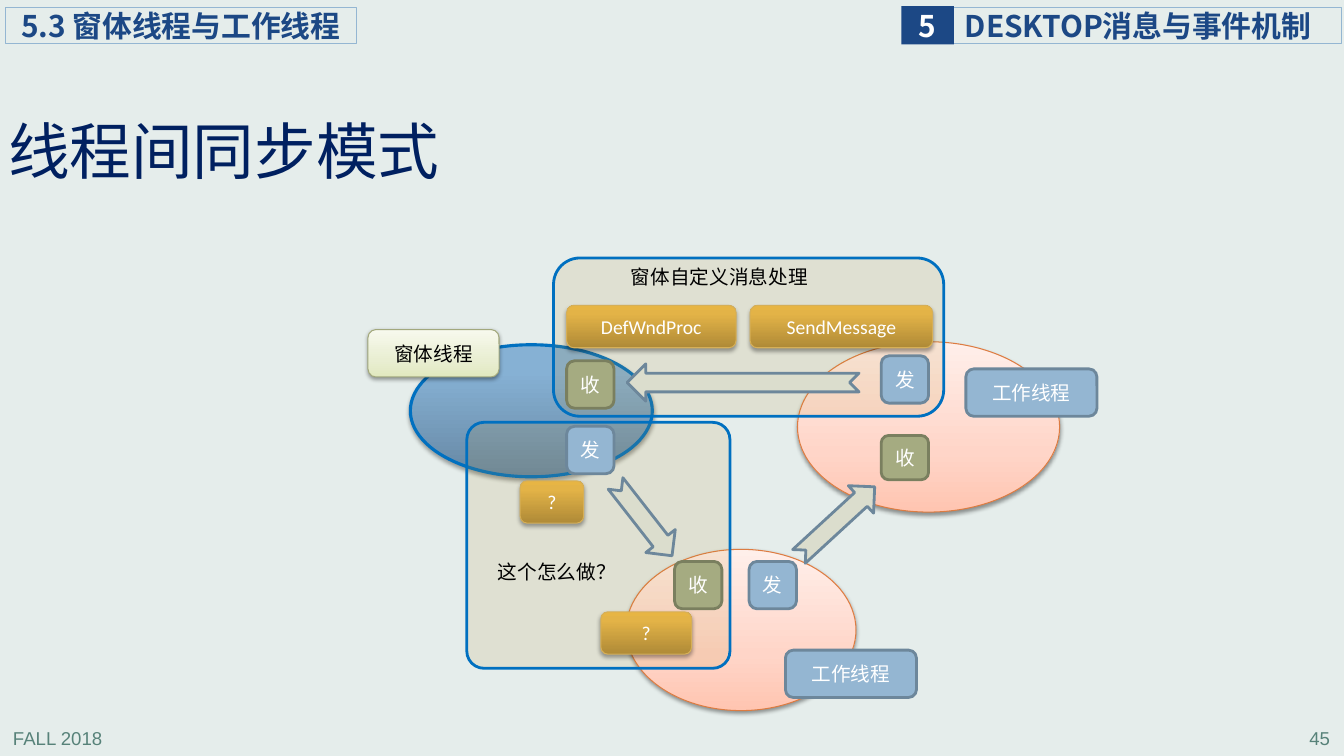
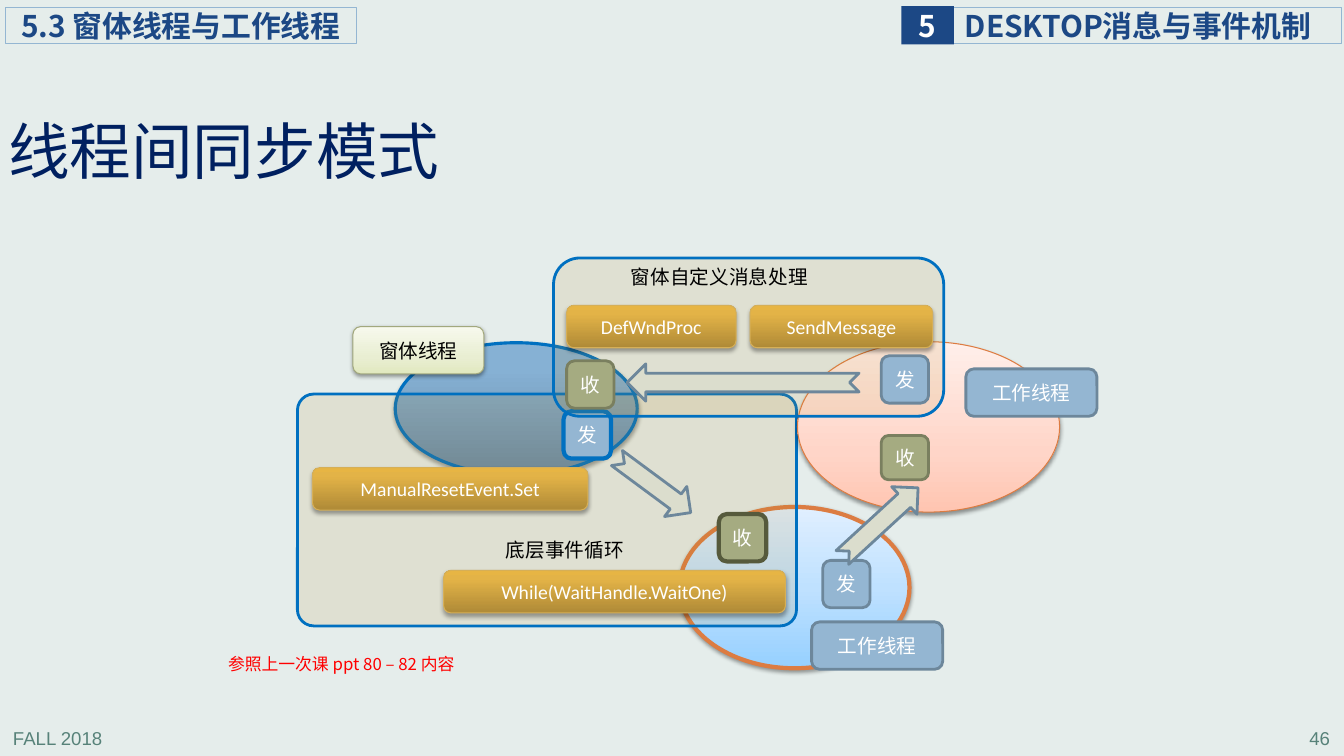
from dataclasses import dataclass, replace
from typing import Optional

from lxml import etree
from pptx import Presentation
from pptx.dml.color import RGBColor
from pptx.enum.shapes import MSO_SHAPE
from pptx.enum.text import MSO_ANCHOR, PP_ALIGN
from pptx.oxml.ns import qn
from pptx.util import Inches, Pt

RECT = MSO_SHAPE.RECTANGLE
ROUNDED = MSO_SHAPE.ROUNDED_RECTANGLE
OVAL = MSO_SHAPE.OVAL
NOTCHED_ARROW = MSO_SHAPE.NOTCHED_RIGHT_ARROW
LEFT, CENTER, RIGHT = PP_ALIGN.LEFT, PP_ALIGN.CENTER, PP_ALIGN.RIGHT
TOP, MIDDLE = MSO_ANCHOR.TOP, MSO_ANCHOR.MIDDLE


@dataclass(frozen=True)
class Theme:
    background: str = "E5EDEB"
    title: str = "002060"
    header: str = "1C4885"
    footer: str = "578279"
    sky: str = "94B6D2"
    steel: str = "6D879B"
    blue: str = "0070C0"
    orange: str = "DC7C42"
    olive: str = "A5AB81"
    olive_edge: str = "7A7F5F"
    olive_dark: str = "565A3C"
    arrow: str = "DBDDCD"
    frame: str = "BA8F2D"
    gold_edge: str = "D6AF57"
    cream_edge: str = "A2A87D"
    white: str = "FFFFFF"
    black: str = "000000"
    red: str = "FF0000"
    gold_blend: tuple = ((0, "AF8A37"), (80, "E3B347"), (100, "E7B544"))
    blue_blend: tuple = ((0, "6788A4"), (80, "86B1D4"), (100, "86B2D7"))
    ice_blend: tuple = ((0, "96D0FF"), (50, "BFE1FF"), (100, "E0EFFF"))
    peach_blend: tuple = ((0, "FFC5B1"), (35, "FFD5C8"), (100, "FFEFEA"))
    cream_blend: tuple = ((0, "E1E8BF"), (35, "E9EED2"), (100, "F7F9ED"))
    soft_shadow: tuple = (38, 1.6)
    deep_shadow: tuple = (35, 1.8)
    cjk: str = "Noto Sans CJK SC"
    code: str = "Calibri"
    plain: str = "Arial"
    title_size: float = 44
    header_size: float = 21.3
    body_size: float = 14
    footer_size: float = 13.3
    note_size: float = 12


T = Theme()


@dataclass(frozen=True)
class Style:
    geometry: Optional[int] = None
    fill: object = None
    line: Optional[str] = None
    width: float = 2
    opacity: int = 100
    shadow: Optional[tuple] = None
    corner: Optional[float] = None
    color: str = T.white
    font: str = T.cjk
    size: float = T.body_size
    bold: bool = False
    align: int = CENTER
    anchor: int = MIDDLE
    insets: tuple = (0.1, 0.05, 0.1, 0.05)


SEND = Style(ROUNDED, T.sky, T.steel)
RECEIVE = Style(ROUNDED, T.olive, T.olive_edge)
SEND_MARKED = replace(SEND, line=T.blue, width=3)
RECEIVE_MARKED = replace(RECEIVE, line=T.olive_dark, width=3)
WORKER_LABEL = SEND
WINDOW_LABEL = Style(ROUNDED, T.cream_blend, T.cream_edge, 0.75,
                     shadow=T.soft_shadow, color=T.black)
CALL = Style(ROUNDED, T.gold_blend, T.gold_edge, 0.75,
             shadow=T.deep_shadow, font=T.code)
WORKER = Style(OVAL, T.peach_blend, T.orange, 0.75, shadow=T.soft_shadow)
WORKER_MARKED = replace(WORKER, fill=T.ice_blend, width=3)
WINDOW = Style(OVAL, T.blue_blend, T.blue, 2.25, shadow=T.deep_shadow)
FRAME = Style(ROUNDED, T.frame, T.blue, opacity=13)
FLAT_FRAME = replace(FRAME, corner=0.07)
ARROW = Style(NOTCHED_ARROW, T.arrow, T.steel)
CAPTION = Style(color=T.black, align=LEFT, anchor=TOP)
NOTE = replace(CAPTION, color=T.red, size=T.note_size, align=CENTER)
FOOTER = Style(color=T.footer, font=T.plain, size=T.footer_size, align=LEFT, anchor=TOP)
PAGE = replace(FOOTER, align=RIGHT)
CHAPTER = Style(RECT, None, T.sky, 0.75, color=T.header, size=T.header_size,
                bold=True, align=LEFT, insets=(0.12, 0, 0, 0))
SECTION = replace(CHAPTER, insets=(0.16, 0, 0, 0))
CHAPTER_NUMBER = replace(CHAPTER, fill=T.header, line=None, color=T.white,
                         align=CENTER, insets=(0, 0, 0, 0))
TITLE = Style(color=T.title, size=T.title_size, align=LEFT, insets=(0.08, 0.04, 0.08, 0.04))

TITLE_TEXT = "线程间同步模式"
TITLE_BOX = (0, 1.16, 4.84, 0.74)
FIRST_PAGE = 45

CHROME = [
    (FOOTER, (0.03, 7.16, 2.78, 0.31), "FALL 2018"),
    (CHAPTER, (9.45, 0.07, 3.86, 0.36), "DESKTOP消息与事件机制"),
    (CHAPTER_NUMBER, (8.94, 0.06, 0.52, 0.38), "5"),
    (SECTION, (0.05, 0.07, 3.49, 0.36), "5.3 窗体线程与工作线程"),
]
PAGE_BOX = (10.51, 7.16, 2.78, 0.31)

MESSAGE_FLOW = [
    (WORKER, (7.91, 3.39, 2.6, 1.69)),
    (FRAME, (5.49, 2.56, 3.87, 1.57)),
    (ARROW, (6.22, 3.61, 2.3, 0.37), "", 180),
    (CALL, (7.44, 3.03, 1.81, 0.42), "SendMessage"),
    (CALL, (5.62, 3.03, 1.68, 0.42), "DefWndProc"),
    (WORKER_LABEL, (9.58, 3.66, 1.3, 0.47), "工作线程"),
    (SEND, (8.74, 3.53, 0.47, 0.47), "发"),
    (RECEIVE, (5.62, 3.58, 0.47, 0.47), "收"),
    (RECEIVE, (8.74, 4.32, 0.47, 0.44), "收"),
    (CAPTION, (6.16, 2.58, 2.47, 0.4), "窗体自定义消息处理"),
]

SLIDES = [
    {
        "behind": [
            (WORKER, (6.21, 5.45, 2.28, 1.6)),
            (WINDOW, (4.07, 3.42, 2.4, 1.31)),
            (FLAT_FRAME, (4.63, 4.19, 2.61, 2.44)),
        ],
        "front": [
            (WORKER_LABEL, (7.79, 6.45, 1.3, 0.47), "工作线程"),
            (WINDOW_LABEL, (3.65, 3.27, 1.3, 0.47), "窗体线程"),
            (SEND, (7.43, 5.57, 0.47, 0.47), "发"),
            (ARROW, (7.79, 4.99, 1.02, 0.37), "", 317.4),
            (SEND, (5.62, 4.23, 0.47, 0.47), "发"),
            (ARROW, (5.93, 4.97, 0.91, 0.37), "", 52),
            (RECEIVE, (6.69, 5.57, 0.47, 0.47), "收"),
            (CALL, (5.16, 4.77, 0.63, 0.42), "?"),
            (CALL, (5.96, 6.07, 0.9, 0.42), "?"),
            (CAPTION, (4.84, 5.51, 1.73, 0.4), "这个怎么做？"),
        ],
    },
    {
        "behind": [
            (WORKER_MARKED, (6.74, 5.03, 2.28, 1.6)),
            (WINDOW, (3.92, 3.4, 2.4, 1.31)),
            (FLAT_FRAME, (2.95, 3.91, 4.95, 2.3)),
            (WORKER_LABEL, (8.05, 6.17, 1.3, 0.47), "工作线程"),
            (WINDOW_LABEL, (3.5, 3.24, 1.3, 0.47), "窗体线程"),
            (SEND_MARKED, (5.59, 4.08, 0.47, 0.47), "发"),
            (ARROW, (6.03, 4.63, 0.91, 0.37), "", 36.5),
            (RECEIVE_MARKED, (7.13, 5.1, 0.47, 0.47), "收"),
            (CALL, (3.1, 4.64, 2.73, 0.42), "ManualResetEvent.Set"),
            (CALL, (4.4, 5.66, 3.39, 0.42), "While(WaitHandle.WaitOne)"),
            (CAPTION, (4.92, 5.29, 1.73, 0.4), "底层事件循环"),
        ],
        "front": [
            (SEND, (8.16, 5.56, 0.47, 0.47), "发"),
            (ARROW, (8.22, 5, 1.02, 0.37), "", 317.4),
            (NOTE, (1.85, 6.44, 3.07, 0.3), "参照上一次课 ppt 80 – 82 内容"),
        ],
    },
]


def add_color(parent, value, opacity=100):
    color = etree.SubElement(parent, qn("a:srgbClr"), val=value)
    if opacity < 100:
        etree.SubElement(color, qn("a:alpha"), val=str(opacity * 1000))


def paint(shape, style):
    properties = shape.element.spPr
    if style.fill is None:
        shape.fill.background()
    elif isinstance(style.fill, tuple):
        shape.fill.gradient()
        shape.fill.gradient_angle = 90
        stops = properties.find(".//" + qn("a:gsLst"))
        for stop in list(stops):
            stops.remove(stop)
        for position, color in style.fill:
            add_color(etree.SubElement(stops, qn("a:gs"), pos=str(position * 1000)), color)
    else:
        shape.fill.solid()
        shape.fill.fore_color.rgb = RGBColor.from_string(style.fill)
        if style.opacity < 100:
            color = properties.find(qn("a:solidFill")).find(qn("a:srgbClr"))
            etree.SubElement(color, qn("a:alpha"), val=str(style.opacity * 1000))
    if style.line:
        shape.line.color.rgb = RGBColor.from_string(style.line)
        shape.line.width = Pt(style.width)
    else:
        shape.line.fill.background()
    shape.shadow.inherit = False
    if style.shadow:
        opacity, distance = style.shadow
        shadow = etree.SubElement(
            properties.find(qn("a:effectLst")), qn("a:outerShdw"),
            blurRad=str(Pt(3.1)), dist=str(Pt(distance)), dir="5400000", rotWithShape="0")
        add_color(shadow, T.black, opacity)


def write(shape, text, style):
    frame = shape.text_frame
    frame.word_wrap = True
    frame.vertical_anchor = style.anchor
    (frame.margin_left, frame.margin_top,
     frame.margin_right, frame.margin_bottom) = map(Inches, style.insets)
    paragraph = frame.paragraphs[0]
    paragraph.text = text
    paragraph.alignment = style.align
    font = paragraph.font
    font.size, font.bold, font.name = Pt(style.size), style.bold, style.font
    font.color.rgb = RGBColor.from_string(style.color)
    defaults = paragraph._p.get_or_add_pPr().find(qn("a:defRPr"))
    etree.SubElement(defaults, qn("a:ea"), typeface=style.font)
    return paragraph


def place(slide, style, box, text="", rotation=0):
    bounds = map(Inches, box)
    if style.geometry is None:
        shape = slide.shapes.add_textbox(*bounds)
    else:
        shape = slide.shapes.add_shape(style.geometry, *bounds)
        paint(shape, style)
        if style.corner is not None:
            shape.adjustments[0] = style.corner
    shape.rotation = rotation
    if text:
        write(shape, text, style)


def set_title(slide):
    title = slide.shapes.title
    title.left, title.top, title.width, title.height = map(Inches, TITLE_BOX)
    write(title, TITLE_TEXT, TITLE).line_spacing = 0.9


def main():
    deck = Presentation()
    deck.slide_width, deck.slide_height = Inches(13.33), Inches(7.5)
    background = deck.slide_master.background.fill
    background.solid()
    background.fore_color.rgb = RGBColor.from_string(T.background)
    for page, content in enumerate(SLIDES, FIRST_PAGE):
        slide = deck.slides.add_slide(deck.slide_layouts[5])
        set_title(slide)
        page_number = (PAGE, PAGE_BOX, str(page))
        for item in [*CHROME, page_number, *content["behind"], *MESSAGE_FLOW, *content["front"]]:
            place(slide, *item)
    deck.save("out.pptx")


if __name__ == "__main__":
    main()
